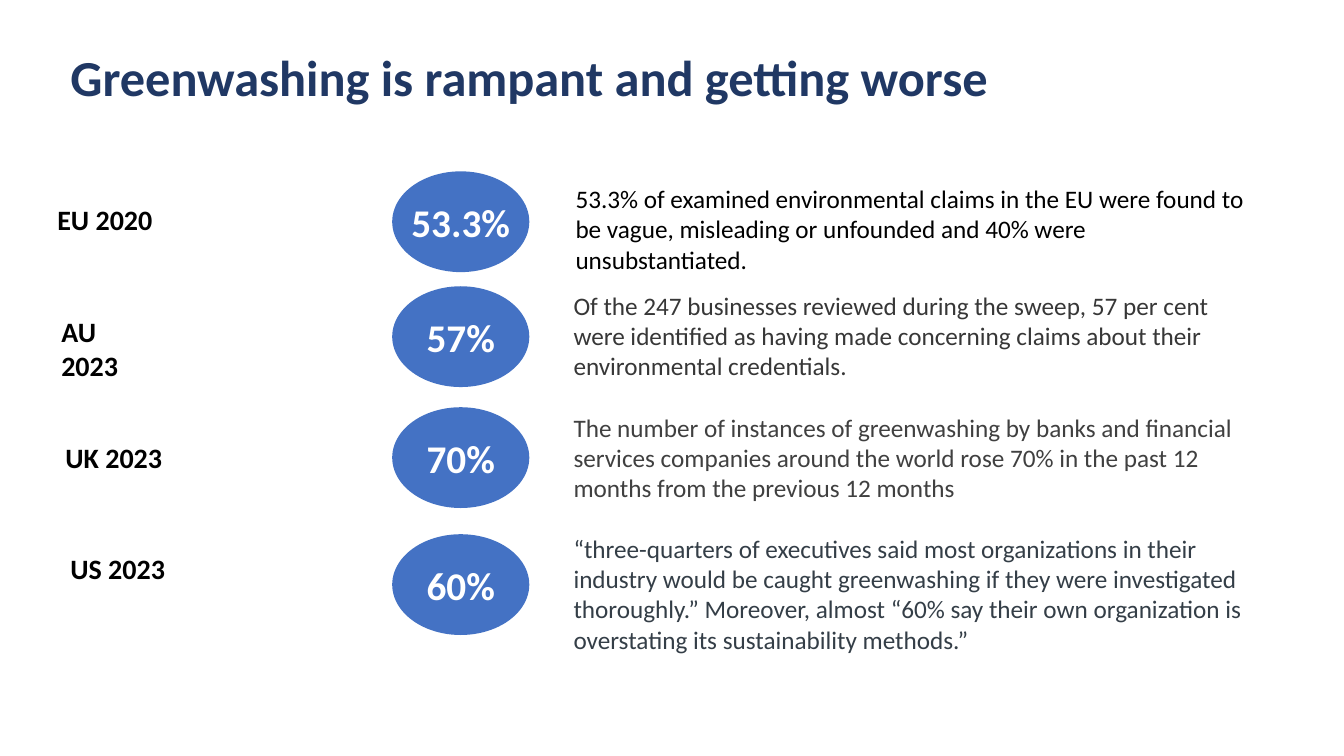
from pptx import Presentation
from pptx.dml.color import RGBColor
from pptx.enum.shapes import MSO_SHAPE as Shape
from pptx.enum.text import MSO_ANCHOR as Anchor, MSO_AUTO_SIZE as AutoSize, PP_ALIGN as Align
from pptx.util import Inches, Pt

TITLE = "Greenwashing is rampant and getting worse"
NAVY, BLUE, WHITE, BLACK = "203864", "4472C4", "FFFFFF", "000000"

# region and year, share, finding, finding colour
FINDINGS = [
    ("EU 2020", "53.3%",
     "53.3% of examined environmental claims in the EU were found to be vague, "
     "misleading or unfounded and 40% were unsubstantiated.", BLACK),
    ("AU 2023", "57%",
     "Of the 247 businesses reviewed during the sweep, 57 per cent were identified as "
     "having made concerning claims about their environmental credentials.", "373737"),
    ("UK 2023", "70%",
     "The number of instances of greenwashing by banks and financial services companies "
     "around the world rose 70% in the past 12 months from the previous 12 months", "404040"),
    ("US 2023", "60%",
     "“three-quarters of executives said most organizations in their industry would be "
     "caught greenwashing if they were investigated thoroughly.” Moreover, almost “60% say "
     "their own organization is overstating its sustainability methods.”", "343E47"),
]

# Inches: (label left, label top), oval top, (finding left, finding top, finding height)
ROWS = [
    ((0.47, 1.96), 1.70, (5.61, 1.77, 1.01)),
    ((0.51, 3.07), 2.84, (5.59, 2.83, 1.01)),
    ((0.55, 4.32), 4.04, (5.59, 4.04, 1.01)),
    ((0.60, 5.42), 5.30, (5.59, 5.24, 1.31)),
]
LABEL_WIDTH, LABEL_HEIGHT = 1.16, 0.44
OVAL_LEFT, OVAL_WIDTH, OVAL_HEIGHT = 3.89, 1.36, 1
FINDING_WIDTH = 6.9


def rgb(color):
    return RGBColor.from_string(color)


def write(shape, wording, size, color, bold=False, wrap=True, anchor=Anchor.TOP, align=Align.LEFT):
    frame = shape.text_frame
    frame.word_wrap = wrap
    frame.vertical_anchor = anchor
    paragraph = frame.paragraphs[0]
    paragraph.alignment = align
    run = paragraph.add_run()
    run.text = wording
    run.font.name = "Calibri"
    run.font.size = Pt(size)
    run.font.bold = bold
    run.font.color.rgb = rgb(color)
    return frame


def add_box(slide, *place):
    return slide.shapes.add_textbox(*map(Inches, place))


def add_share(slide, share, top):
    place = map(Inches, (OVAL_LEFT, top, OVAL_WIDTH, OVAL_HEIGHT))
    oval = slide.shapes.add_shape(Shape.OVAL, *place)
    oval.shadow.inherit = False
    oval.fill.solid()
    oval.fill.fore_color.rgb = rgb(BLUE)
    oval.line.fill.background()
    write(oval, share, 28, WHITE, True, wrap=False, anchor=Anchor.MIDDLE, align=Align.CENTER)


def main():
    deck = Presentation()
    deck.slide_width, deck.slide_height = Inches(13.33), Inches(7.5)
    slide = deck.slides.add_slide(deck.slide_layouts[6])

    heading = write(add_box(slide, 0.6, 0.07, 12.65, 1.45), TITLE, 36, NAVY, True,
                    anchor=Anchor.MIDDLE)
    heading.paragraphs[0].line_spacing = 0.9

    for (region, share, finding, color), (label_at, oval_top, finding_at) in zip(FINDINGS, ROWS):
        label = add_box(slide, *label_at, LABEL_WIDTH, LABEL_HEIGHT)
        write(label, region, 20, BLACK, True, wrap=False).auto_size = AutoSize.SHAPE_TO_FIT_TEXT
        add_share(slide, share, oval_top)
        left, top, height = finding_at
        detail = add_box(slide, left, top, FINDING_WIDTH, height)
        write(detail, finding, 18, color).auto_size = AutoSize.SHAPE_TO_FIT_TEXT

    deck.save("out.pptx")


if __name__ == "__main__":
    main()
